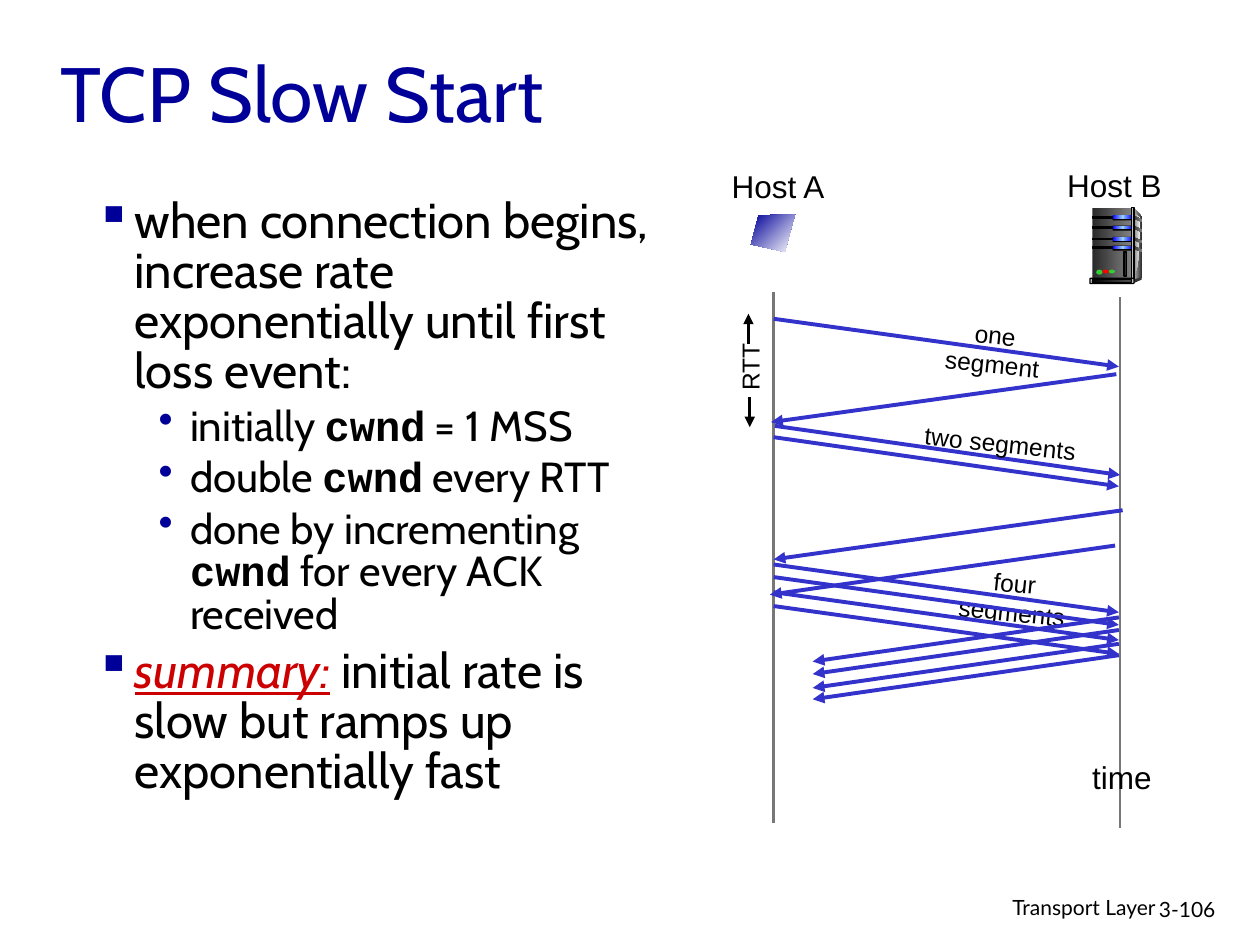
from copy import deepcopy
from typing import NamedTuple

from lxml import etree
from pptx import Presentation
from pptx.dml.color import RGBColor
from pptx.enum.shapes import MSO_CONNECTOR, MSO_SHAPE
from pptx.enum.text import MSO_ANCHOR, PP_ALIGN
from pptx.oxml.ns import qn
from pptx.util import Cm, Pt

LEFT, CENTER, RIGHT = PP_ALIGN.LEFT, PP_ALIGN.CENTER, PP_ALIGN.RIGHT
RECT, ROUND, OVAL = MSO_SHAPE.RECTANGLE, MSO_SHAPE.ROUNDED_RECTANGLE, MSO_SHAPE.OVAL
BLACK, NAVY, BLUE, GREY, RED = "000000", "000099", "3333CC", "777777", "CC0000"
DARK, MID, CHARCOAL, LIGHT, GREEN = "292929", "808080", "333333", "DDDDDD", "33CC33"


class Run(NamedTuple):
    text: str
    font: str = "Cabin"
    color: str = BLACK
    bold: bool = False
    italic: bool = False
    underline: bool = False


class Bullet(NamedTuple):
    level: int
    runs: list


class Level(NamedTuple):
    mark: str
    size: float
    margin: float
    hang: float
    before: float


class Label(NamedTuple):
    text: str
    box: tuple
    size: float
    font: str = "Arial"
    align: int = CENTER
    rotation: float = 0
    wrap: bool = True


class Line(NamedTuple):
    x1: float
    y1: float
    x2: float
    y2: float
    color: str = BLUE
    width: float = 2.25
    arrow: bool = True


class Part(NamedTuple):
    kind: int
    box: tuple
    colors: tuple
    outlined: bool = False


LEVELS = [Level("▪", 28, 0.31, 0.31, 5.6), Level("•", 24, 0.75, 0.25, 4.8)]
CWND = Run("cwnd", "Courier New", bold=True)
BULLETS = [
    Bullet(0, [Run("when connection begins, increase rate exponentially until first loss event:")]),
    Bullet(1, [Run("initially "), CWND, Run(" = 1 MSS")]),
    Bullet(1, [Run("double "), CWND, Run(" every RTT")]),
    Bullet(1, [Run("done by incrementing "), CWND, Run(" for every ACK received")]),
    Bullet(0, [Run("summary:", color=RED, italic=True, underline=True),
               Run(" ", color=RED, italic=True),
               Run("initial rate is slow but ramps up exponentially fast")]),
]
AXES = [Line(6.14, 2.32, 6.14, 6.53, GREY, 1.5, False),
        Line(8.89, 2.36, 8.89, 6.57, GREY, 1.5, False),
        Line(5.94, 2.73, 5.94, 2.49, BLACK, 1.5),
        Line(5.95, 3.15, 5.95, 3.39, BLACK, 1.5)]
EARLY_ROUNDS = [Line(6.14, 2.53, 8.88, 2.91), Line(8.86, 2.97, 6.12, 3.35),
                Line(6.15, 3.38, 8.89, 3.77), Line(6.14, 3.47, 8.88, 3.86),
                Line(8.91, 4.05, 6.14, 4.44), Line(8.85, 4.33, 6.11, 4.72)]
FOURTH_ROUND = ([Line(6.14, y, 8.88, y + 0.38) for y in (4.48, 4.58, 4.7, 4.81)]
                + [Line(8.88, y, 6.45, y + 0.35) for y in (4.9, 5, 5.11, 5.2)])
LABELS = [
    Label("Host A", (5.7, 1.28, 0.95, 0.4), 18, wrap=False),
    Label("Host B", (8.37, 1.27, 0.95, 0.4), 18, wrap=False),
    Label("RTT", (5.66, 2.75, 0.58, 0.33), 14, rotation=270, wrap=False),
    Label("one segment", (7.24, 2.49, 1.32, 0.33), 14, rotation=6),
    Label("two segments", (7.24, 3.35, 1.4, 0.33), 14, rotation=6),
    Label("four segments", (7.34, 4.46, 1.43, 0.33), 14, rotation=6),
    Label("time", (8.57, 5.97, 0.67, 0.4), 18, wrap=False),
    Label("3-106", (9.1, 7.07, 0.74, 0.3), 12, "Lato", LEFT),
    Label("Transport Layer", (6.1, 7.05, 3.17, 0.31), 12, "Lato", RIGHT),
]
BAY_TOPS = (1.71, 1.79, 1.88, 1.95)
SERVER_BASE = [
    Part(ROUND, (8.65, 2.21, 0.35, 0.04), (LIGHT,), True),
    Part(ROUND, (8.67, 2.22, 0.31, 0.02), (BLACK, MID), True),
    Part(OVAL, (8.7, 2.14, 0.05, 0.04), (GREEN,)),
    Part(OVAL, (8.75, 2.14, 0.05, 0.03), ("FF0000",)),
    Part(OVAL, (8.8, 2.14, 0.05, 0.03), (GREEN,)),
    Part(RECT, (8.92, 2, 0.02, 0.19), (DARK,), True),
]


def inch(value: float) -> Cm:
    return Cm(value * 2.54)


def rgb(color: str) -> RGBColor:
    return RGBColor.from_string(color)


def add_run(p, run: Run, size: float) -> None:
    r = p.add_run()
    r.text = run.text
    f = r.font
    f.name, f.size, f.color.rgb = run.font, Pt(size), rgb(run.color)
    f.bold, f.italic, f.underline = run.bold, run.italic, run.underline


def paint(sp, colors: tuple, angle: float = 0, outlined: bool = False) -> None:
    """Fill with one colour, or with an evenly spaced gradient."""
    sp.shadow.inherit = False
    if len(colors) == 1:
        sp.fill.solid()
        sp.fill.fore_color.rgb = rgb(colors[0])
    else:
        sp.fill.gradient()
        sp.fill.gradient_angle = angle
        stops = sp._element.spPr.find(".//" + qn("a:gsLst"))
        for _ in colors[2:]:
            stops.append(deepcopy(stops[0]))
        for i, (stop, color) in enumerate(zip(sp.fill.gradient_stops, colors)):
            stop.color.rgb = rgb(color)
            stop.position = i / (len(colors) - 1)
    if outlined:
        sp.line.color.rgb, sp.line.width = rgb(BLACK), Pt(0.75)
    else:
        sp.line.fill.background()


def add_part(shapes, part: Part) -> None:
    sp = shapes.add_shape(part.kind, *map(inch, part.box))
    if part.kind == ROUND:
        sp.adjustments[0] = 0.11
    paint(sp, part.colors, outlined=part.outlined)


def add_polygon(shapes, points: list, colors: tuple, angle: float = 0) -> None:
    start, *rest = [(inch(x), inch(y)) for x, y in points]
    builder = shapes.build_freeform(*start)
    builder.add_line_segments(rest)
    paint(builder.convert_to_shape(), colors, angle)


def add_line(shapes, line: Line) -> None:
    cn = shapes.add_connector(MSO_CONNECTOR.STRAIGHT, *map(inch, line[:4]))
    cn.line.color.rgb, cn.line.width = rgb(line.color), Pt(line.width)
    if line.arrow:
        etree.SubElement(cn.line._get_or_add_ln(), qn("a:tailEnd"), type="triangle")
    etree.SubElement(cn._element.spPr, qn("a:effectLst"))


def add_label(shapes, label: Label) -> None:
    sp = shapes.add_textbox(*map(inch, label.box))
    sp.rotation = label.rotation
    sp.text_frame.word_wrap = label.wrap
    p = sp.text_frame.paragraphs[0]
    p.alignment = label.align
    add_run(p, Run(label.text, label.font), label.size)


def add_bullet(p, bullet: Bullet, first: bool) -> None:
    level = LEVELS[bullet.level]
    pPr = p._p.get_or_add_pPr()
    pPr.set("marL", str(inch(level.margin)))
    pPr.set("indent", str(-inch(level.hang)))
    etree.SubElement(etree.SubElement(pPr, qn("a:buClr")), qn("a:srgbClr"), val=NAVY)
    etree.SubElement(pPr, qn("a:buChar"), char=level.mark)
    p.level, p.line_spacing = bullet.level, 0.85
    if not first:
        p.space_before = Pt(level.before)
    for run in bullet.runs:
        add_run(p, run, level.size)


def add_server(shapes) -> None:
    add_polygon(shapes, [(9, 1.65), (9.06, 1.72), (9.06, 2.2), (8.98, 2.22)], (LIGHT, CHARCOAL))
    add_part(shapes, Part(RECT, (8.67, 1.65, 0.31, 0.57), (DARK, MID)))
    add_polygon(shapes, [(9, 1.69), (9.05, 1.73), (9.03, 2.1), (9, 2.21)], (MID, "F8F8F8"))
    for y in BAY_TOPS:
        add_part(shapes, Part(RECT, (8.67, y + 0.01, 0.18, 0.01), (BLACK,), True))
        add_part(shapes, Part(ROUND, (8.83, y, 0.17, 0.04), (BLACK,)))
        add_part(shapes, Part(ROUND, (8.83, y, 0.16, 0.03), ("0000FF", "99CCFF", "0000FF")))
        add_polygon(shapes, [(8.99, y), (9.06, y + 0.03), (9.06, y + 0.05), (8.99, y + 0.02)],
                    (DARK, MID))
    add_part(shapes, Part(RECT, (8.98, 1.65, 0.02, 0.57), (CHARCOAL, LIGHT, CHARCOAL), True))
    add_polygon(shapes, [(8.99, 2.22), (8.99, 2.25), (9.06, 2.22), (9.06, 2.2)], (CHARCOAL,))
    for part in SERVER_BASE:
        add_part(shapes, part)


def main() -> None:
    prs = Presentation()
    prs.slide_width, prs.slide_height = inch(10), inch(7.5)
    s = prs.slides.add_slide(prs.slide_layouts[5])

    title = s.shapes.title
    title.left, title.top, title.width, title.height = map(inch, (0.38, 0.16, 8.5, 1.14))
    title.text_frame.vertical_anchor = MSO_ANCHOR.MIDDLE
    p = title.text_frame.paragraphs[0]
    p.alignment = LEFT
    add_run(p, Run("TCP Slow Start", color=NAVY), 44)

    tf = s.shapes.add_textbox(*map(inch, (0.66, 1.53, 4.65, 5.08))).text_frame
    tf.word_wrap = True
    for i, bullet in enumerate(BULLETS):
        add_bullet(tf.add_paragraph() if i else tf.paragraphs[0], bullet, i == 0)

    for line in AXES + EARLY_ROUNDS:
        add_line(s.shapes, line)
    for label in LABELS:
        add_label(s.shapes, label)
    for line in FOURTH_ROUND:
        add_line(s.shapes, line)
    add_polygon(s.shapes, [(6.31, 1.7), (6.02, 1.71), (5.96, 1.94), (6.23, 2)],
                (NAVY, "FFFFFF"), 315)
    add_server(s.shapes.add_group_shape().shapes)
    prs.save("out.pptx")


if __name__ == "__main__":
    main()
